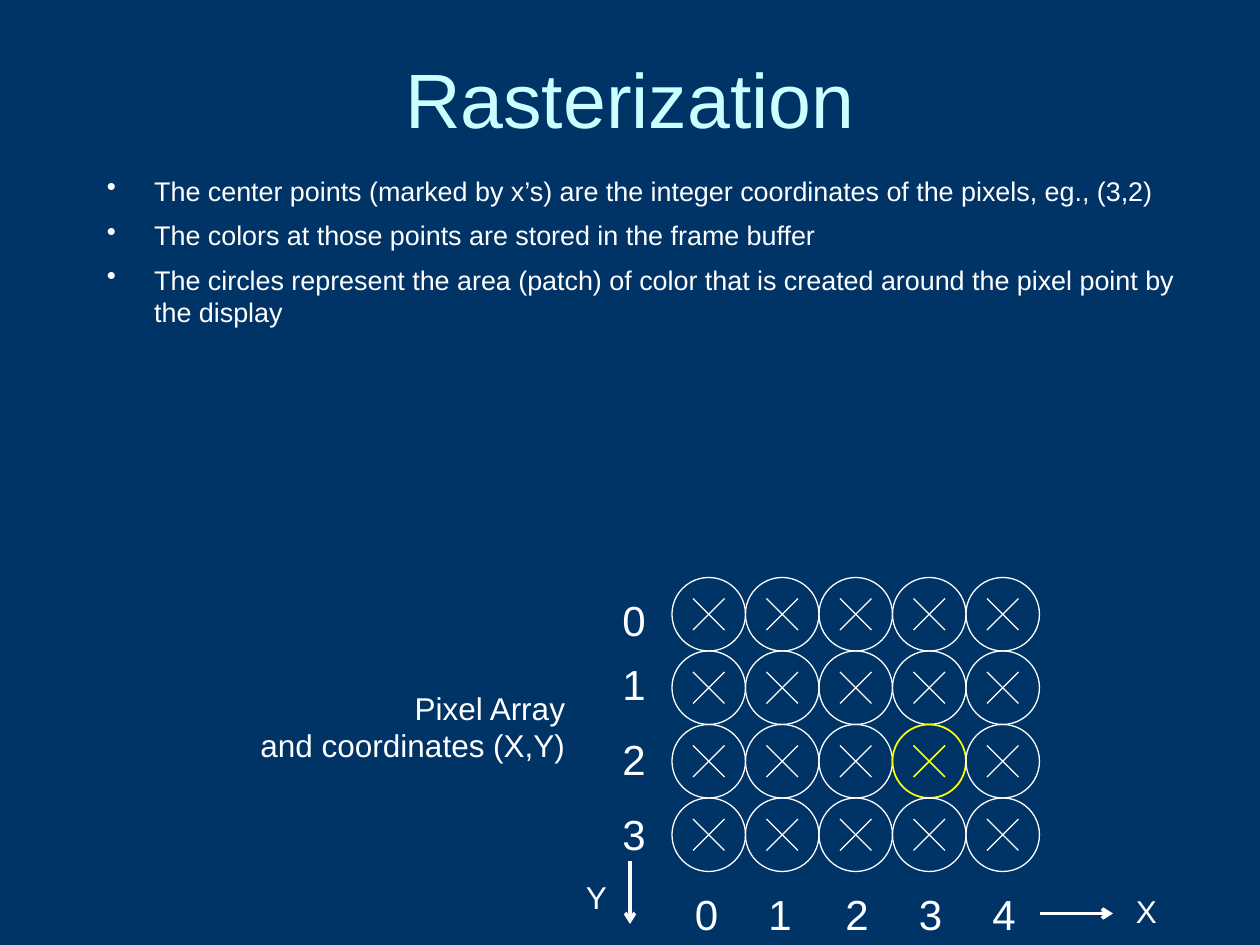
from dataclasses import dataclass

from lxml import etree
from pptx import Presentation
from pptx.dml.color import RGBColor
from pptx.enum import shapes, text
from pptx.oxml import ns
from pptx.util import Pt


@dataclass(frozen=True)
class Theme:
    font: str = "Arial"
    background: RGBColor = RGBColor(0x00, 0x33, 0x66)
    title: RGBColor = RGBColor(0xCC, 0xFF, 0xFF)
    ink: RGBColor = RGBColor(0xFF, 0xFF, 0xFF)
    highlight: RGBColor = RGBColor(0xFF, 0xFF, 0x00)
    title_size: float = 44
    bullet_size: float = 15.4
    number_size: float = 24
    label_size: float = 18


theme = Theme()
LEFT, CENTER, RIGHT = text.PP_ALIGN.LEFT, text.PP_ALIGN.CENTER, text.PP_ALIGN.RIGHT

deck = Presentation()
deck.slide_width, deck.slide_height = Pt(720), Pt(540)
slide = deck.slides.add_slide(deck.slide_layouts[5])
slide.background.fill.solid()
slide.background.fill.fore_color.rgb = theme.background


def write(lines, left, top, width, height, size, color=theme.ink, align=LEFT,
          anchor=text.MSO_ANCHOR.TOP, wrap=True, bullets=False, gap=0, holder=None):
    """Fill holder, or a new text box, with one paragraph per line."""
    box = holder or slide.shapes.add_textbox(0, 0, 0, 0)
    box.left, box.top, box.width, box.height = Pt(left), Pt(top), Pt(width), Pt(height)
    frame = box.text_frame
    frame.text = "\n".join(lines)
    frame.word_wrap = wrap
    frame.auto_size = text.MSO_AUTO_SIZE.NONE
    frame.vertical_anchor = anchor
    for index, paragraph in enumerate(frame.paragraphs):
        paragraph.alignment = align
        paragraph.space_before = Pt(gap if index else 0)
        if bullets:
            props = paragraph._p.get_or_add_pPr()
            props.set("marL", str(Pt(27)))
            props.set("indent", str(Pt(-27)))
            etree.SubElement(props, ns.qn("a:buChar")).set("char", "•")
        paragraph.font.name = theme.font
        paragraph.font.size = Pt(size)
        paragraph.font.color.rgb = color


def draw_line(x1, y1, x2, y2, color=theme.ink, weight=0.75, arrow=False):
    line = slide.shapes.add_connector(shapes.MSO_CONNECTOR.STRAIGHT,
                                      Pt(x1), Pt(y1), Pt(x2), Pt(y2))
    line.line.color.rgb = color
    line.line.width = Pt(weight)
    if arrow:
        etree.SubElement(line.line._get_or_add_ln(), ns.qn("a:tailEnd")).set("type", "arrow")
    etree.SubElement(line._element.spPr, ns.qn("a:effectLst"))


write(["Rasterization"], 36, 21.6, 648, 68.4, theme.title_size, color=theme.title,
      align=CENTER, anchor=text.MSO_ANCHOR.MIDDLE, holder=slide.shapes.title)
write(["The center points (marked by x’s) are the integer coordinates of the pixels, eg., (3,2)",
       "The colors at those points are stored in the frame buffer",
       "The circles represent the area (patch) of color that is created around the pixel point by "
       "the display"],
      54, 96, 630, 114, theme.bullet_size, bullets=True, gap=7)

# Pixel array: touching circles, each with a cross at its center
GRID_LEFT, GRID_TOP, PIXEL = 384, 330, 42
CROSS_START, CROSS_END = 12, 30
for row in range(4):
    for column in range(5):
        marked = (column, row) == (3, 2)
        color, weight = (theme.highlight, 1) if marked else (theme.ink, 0.75)
        x, y = GRID_LEFT + column * PIXEL, GRID_TOP + row * PIXEL
        patch = slide.shapes.add_shape(shapes.MSO_SHAPE.OVAL, Pt(x), Pt(y), Pt(PIXEL), Pt(PIXEL))
        patch.shadow.inherit = False
        patch.fill.background()
        patch.line.color.rgb = color
        patch.line.width = Pt(weight)
        for start, end in ((CROSS_END, CROSS_START), (CROSS_START, CROSS_END)):
            draw_line(x + CROSS_START, y + start, x + CROSS_END, y + end, color, weight)

# Coordinates along both axes
for number, top in enumerate((336, 373, 415.5, 458.5)):
    write([str(number)], 348.5, top, 27, 36, theme.number_size, wrap=False)
for number, left in enumerate((390, 432, 476, 518, 560)):
    write([str(number)], left, 504, 27, 36, theme.number_size, wrap=False)

write(["Pixel Array", "and coordinates (X,Y)"], 132, 390, 198, 50.5, theme.label_size, align=RIGHT)
draw_line(594, 522, 636, 522, weight=2, arrow=True)
write(["X"], 642, 506, 42, 29, theme.label_size)
draw_line(360, 492, 360, 528, weight=2, arrow=True)
write(["Y"], 318, 498, 36, 29, theme.label_size, align=RIGHT)

deck.save("out.pptx")
